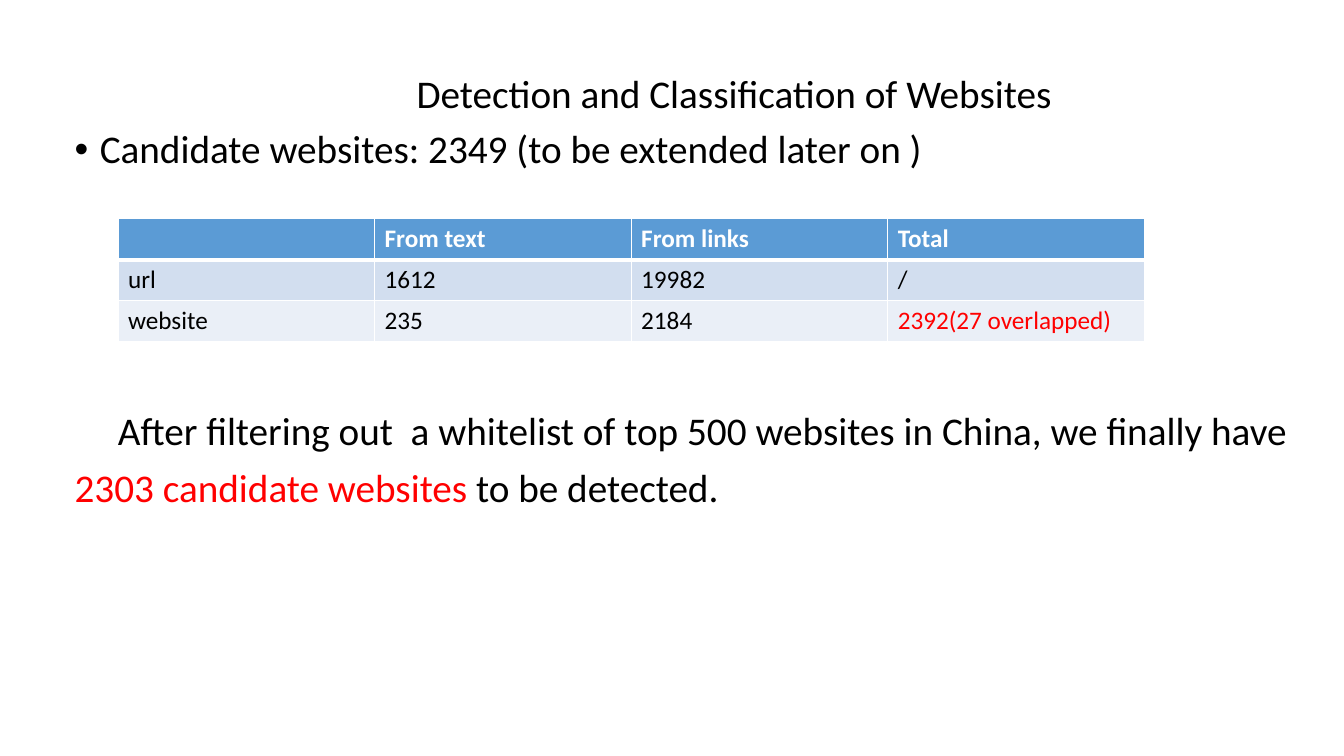
from dataclasses import dataclass

from lxml import etree
from pptx import Presentation
from pptx.dml.color import RGBColor
from pptx.enum.text import MSO_ANCHOR, MSO_AUTO_SIZE, PP_ALIGN
from pptx.oxml.ns import qn
from pptx.util import Inches, Pt

BLACK = RGBColor(0x00, 0x00, 0x00)
WHITE = RGBColor(0xFF, 0xFF, 0xFF)
RED = RGBColor(0xFF, 0x00, 0x00)
BLUE = RGBColor(0x5B, 0x9B, 0xD5)
BAND = RGBColor(0xD2, 0xDE, 0xEF)
PALE = RGBColor(0xEA, 0xEF, 0xF7)

TOP = MSO_ANCHOR.TOP
FIXED = MSO_AUTO_SIZE.NONE
CENTER = PP_ALIGN.CENTER
LEFT = PP_ALIGN.LEFT

FONT = "Calibri"


@dataclass
class Run:
    text: str
    color: RGBColor = BLACK
    bold: bool = False


@dataclass
class Para:
    runs: list[Run]
    align: PP_ALIGN = LEFT
    before: float = 10
    margin: float = 0
    indent: float = 0
    bullet: str = ""


@dataclass
class Row:
    fill: RGBColor
    cells: list[Run]
    above: int = 1
    below: int = 1


TITLE = [Para([Run("Detection and Classification of Websites")], align=CENTER)]
BODY = [
    Para([Run("Candidate websites: 2349 (to be extended later on )")],
         margin=0.25, indent=-0.25, bullet="•"),
    # The wide gap leaves room for the table
    Para([Run("After filtering out  a whitelist of top 500 websites in China, "
              "we finally have")], before=171, indent=0.43),
    Para([Run("2303 candidate websites", RED), Run(" to be detected.")]),
]
ROWS = [
    Row(BLUE, [Run(word, WHITE, True)
               for word in ("", "From text", "From links", "Total")], below=3),
    Row(BAND, [Run(word) for word in ("url", "1612", "19982", "/")], above=3),
    Row(PALE, [Run("website"), Run("235"), Run("2184"),
               Run("2392(27 overlapped)", RED)]),
]


def add_run(para, run: Run, size: int) -> None:
    part = para.add_run()
    part.text = run.text
    font = part.font
    font.name, font.size, font.bold = FONT, Pt(size), run.bold
    font.color.rgb = run.color


def fill_text(shape, box: tuple, paras: list[Para]) -> None:
    shape.left, shape.top, shape.width, shape.height = map(Inches, box)
    frame = shape.text_frame
    frame.word_wrap, frame.auto_size = True, FIXED
    frame.vertical_anchor = TOP
    for i, item in enumerate(paras):
        para = frame.add_paragraph() if i else frame.paragraphs[0]
        para.alignment = item.align
        para.line_spacing = 0.9
        para.space_before = Pt(item.before)
        props = para._p.get_or_add_pPr()
        props.set("marL", str(Inches(item.margin)))
        props.set("indent", str(Inches(item.indent)))
        if item.bullet:
            etree.SubElement(props, qn("a:buFont"), typeface="Arial")
            etree.SubElement(props, qn("a:buChar"), char=item.bullet)
        else:
            etree.SubElement(props, qn("a:buNone"))
        for run in item.runs:
            add_run(para, run, 28)


def add_edges(cell, row: Row) -> None:
    props = cell._tc.get_or_add_tcPr()
    edges = {"a:lnL": 1, "a:lnR": 1, "a:lnT": row.above, "a:lnB": row.below}
    for i, (tag, width) in enumerate(edges.items()):
        line = etree.Element(qn(tag), w=str(Pt(width)))
        fill = etree.SubElement(line, qn("a:solidFill"))
        etree.SubElement(fill, qn("a:srgbClr"), val=str(WHITE))
        props.insert(i, line)


def add_grid(slide, box: tuple, rows: list[Row]) -> None:
    frame = slide.shapes.add_table(len(rows), len(rows[0].cells),
                                   *map(Inches, box))
    for r, row in enumerate(rows):
        for c, run in enumerate(row.cells):
            cell = frame.table.cell(r, c)
            cell.fill.solid()
            cell.fill.fore_color.rgb = row.fill
            add_edges(cell, row)
            if run.text:
                add_run(cell.text_frame.paragraphs[0], run, 18)


def main() -> None:
    deck = Presentation()
    deck.slide_width, deck.slide_height = Inches(13.33), Inches(7.5)
    slide = deck.slides.add_slide(deck.slide_layouts[1])

    # Heading and text
    fill_text(slide.shapes.title, (1.28, 0.69, 12, 0.55), TITLE)
    fill_text(slide.placeholders[1], (0.64, 1.24, 12.6, 5.53), BODY)

    # Counts by origin
    add_grid(slide, (1.17, 2.17, 10.18, 1.22), ROWS)

    deck.save("out.pptx")


if __name__ == "__main__":
    main()
